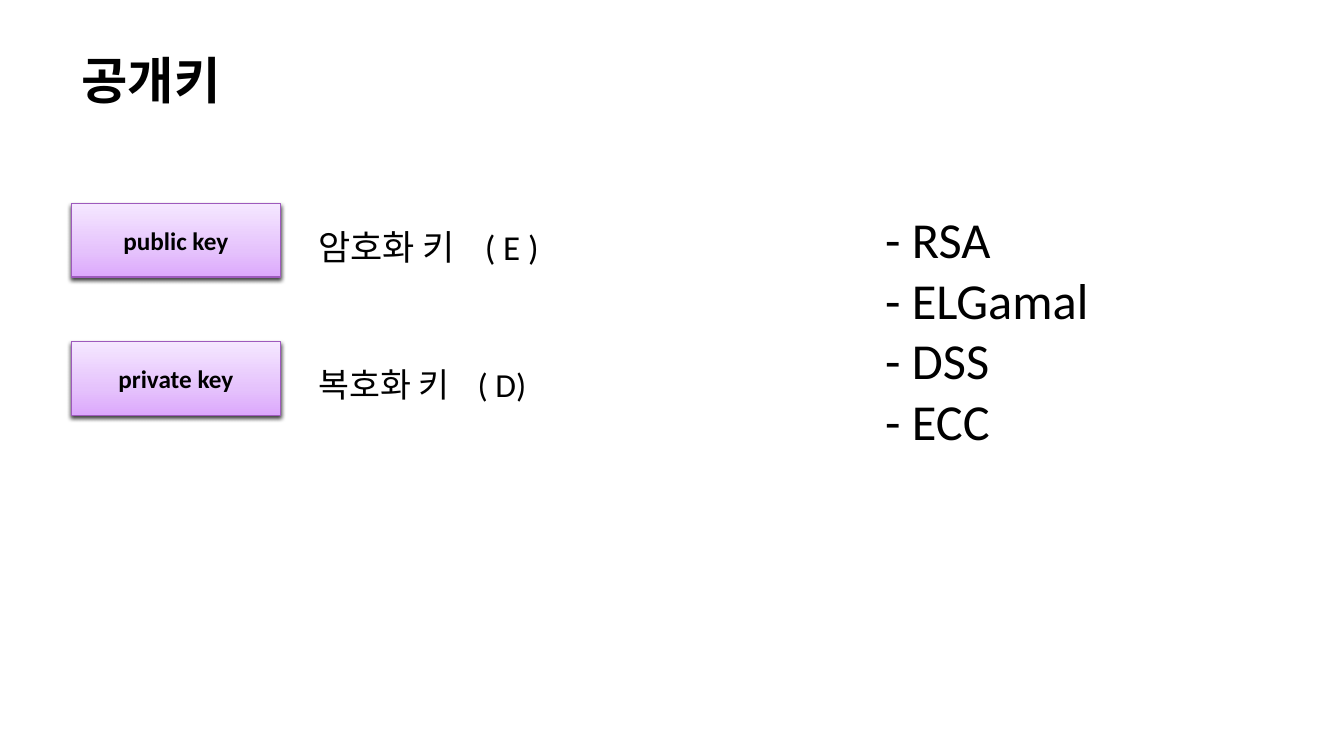
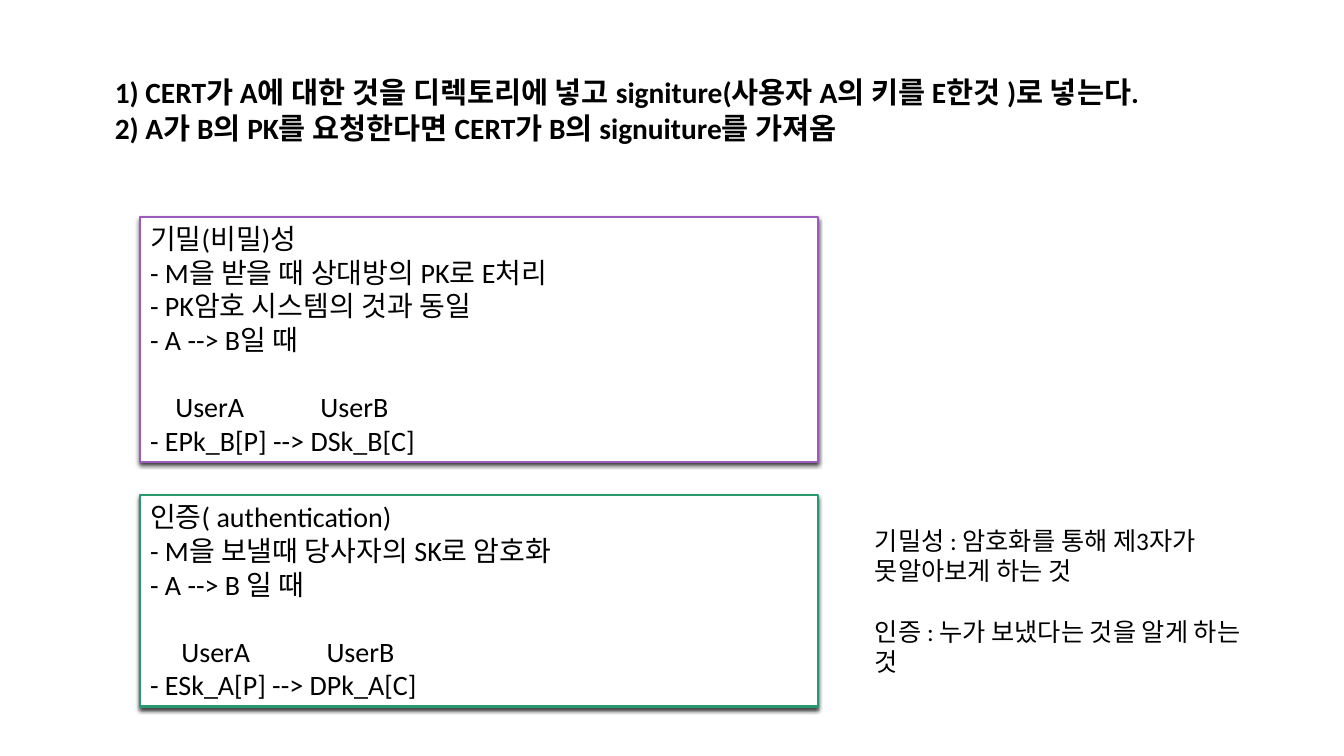
"""Build two slides on public keys, secrecy and authentication."""
import dataclasses

import copy
import lxml.etree
import pptx
import pptx.dml.color
import pptx.enum.shapes
import pptx.enum.text
import pptx.oxml.ns
import pptx.util

Inches = pptx.util.Inches
Pt = pptx.util.Pt
qn = pptx.oxml.ns.qn
Align = pptx.enum.text.PP_ALIGN
Anchor = pptx.enum.text.MSO_ANCHOR
Fit = pptx.enum.text.MSO_AUTO_SIZE


@dataclasses.dataclass(frozen=True)
class Theme:
    """Colours, font and type sizes of the deck."""
    font: str = "Calibri"
    ink: str = "000000"
    paper: str = "FFFFFF"
    plum: str = "9E5ABD"
    green: str = "289B6E"
    blend: tuple = ((0, "DCA8FC"), (0.35, "E5C2FC"), (1, "F5E7FF"))
    title: int = 36
    large: int = 25
    term: int = 24
    head: int = 21
    body: int = 20
    small: int = 18


@dataclasses.dataclass(frozen=True)
class Line:
    """A paragraph with space above it, in points, and tab stops, in inches."""
    text: str
    gap: float = 0
    stops: tuple = ()


THEME = Theme()


def tint(code):
    """Turn a hex code into a colour."""
    return pptx.dml.color.RGBColor.from_string(code)


def write(frame, lines, size, bold=False, align=Align.LEFT, anchor=Anchor.TOP, grow=True):
    """Fill a text frame with formatted paragraphs."""
    frame.word_wrap = True
    frame.auto_size = Fit.SHAPE_TO_FIT_TEXT if grow else Fit.NONE
    frame.vertical_anchor = anchor
    for rank, item in enumerate(lines):
        line = item if isinstance(item, Line) else Line(item)
        para = frame.add_paragraph() if rank else frame.paragraphs[0]
        para.alignment = align
        if line.gap:
            para.space_before = Pt(line.gap)
        if line.stops:
            tabs = lxml.etree.SubElement(para._p.get_or_add_pPr(), qn("a:tabLst"))
            for stop in line.stops:
                lxml.etree.SubElement(tabs, qn("a:tab"), pos=str(Inches(stop)), algn="l")
        run = para.add_run()
        run.text = line.text
        run.font.name = THEME.font
        run.font.size = Pt(size)
        run.font.bold = bold
        run.font.color.rgb = tint(THEME.ink)


def label(slide, spot, lines, size, **form):
    """Add a text box."""
    box = slide.shapes.add_textbox(*map(Inches, spot))
    write(box.text_frame, lines, size, **form)


def shade(shape):
    """Give a shape a soft shadow below it."""
    shape.shadow.inherit = False
    effects = shape._element.spPr.find(qn("a:effectLst"))
    cast = lxml.etree.SubElement(
        effects, qn("a:outerShdw"), blurRad=str(Pt(3)), dist=str(Pt(2)),
        dir="5400000", rotWithShape="0")
    tone = lxml.etree.SubElement(cast, qn("a:srgbClr"), val=THEME.ink)
    lxml.etree.SubElement(tone, qn("a:alpha"), val="75000")


def blend(shape, stops):
    """Fill a shape with a gradient that runs from bottom to top."""
    shape.fill.gradient()
    shape.fill.gradient_angle = 90
    group = shape._element.spPr.find(".//" + qn("a:gsLst"))
    while len(group) < len(stops):
        group.append(copy.deepcopy(group[0]))
    for stop, (place, code) in zip(shape.fill.gradient_stops, stops):
        stop.position = place
        stop.color.rgb = tint(code)


def panel(slide, spot, lines, size, edge, width, stops=None, **form):
    """Add a shadowed box with text, plain or with a gradient."""
    shape = slide.shapes.add_shape(
        pptx.enum.shapes.MSO_SHAPE.RECTANGLE, *map(Inches, spot))
    if stops:
        blend(shape, stops)
    else:
        shape.fill.solid()
        shape.fill.fore_color.rgb = tint(THEME.paper)
    shape.line.color.rgb = tint(edge)
    shape.line.width = Pt(width)
    shade(shape)
    write(shape.text_frame, lines, size, **form)


def keys(slide):
    """Draw the slide on public and private keys."""
    left = 0.71
    label(slide, (left, 0.44, 7.22, 0.7), ["공개키"], THEME.title, bold=True)
    rows = (
        ("public key", "암호화 키\t( E )", 1.65, THEME.large),
        ("private key", "복호화 키\t( D)", 1.58, THEME.term),
    )
    for rank, (name, role, stop, size) in enumerate(rows):
        top = 2.02 + 1.37 * rank
        panel(slide, (left, top, 2.07, 0.73), [name], THEME.small, THEME.plum, 1,
              stops=THEME.blend, bold=True, align=Align.CENTER,
              anchor=Anchor.MIDDLE, grow=False)
        label(slide, (3.06, top + 0.17, 3, 0.5), [Line(role, stops=(stop,))], size)
    label(slide, (8.68, 2.02, 2.86, 2.49),
          ["- RSA", "- ELGamal", "- DSS", "- ECC"], THEME.title)


def proof(slide):
    """Draw the slide on secrecy and authentication."""
    label(slide, (1.04, 0.69, 11.63, 0.79), [
        "1) CERT가 A에 대한 것을 디렉토리에 넣고 signiture(사용자 A의 키를 E한것 )로 넣는다.",
        "2) A가 B의 PK를 요청한다면 CERT가 B의 signuiture를 가져옴",
    ], THEME.head, bold=True)
    users = "\tUserA\tUserB"
    boxes = (
        (2.15, 2.43, THEME.plum, [
            "기밀(비밀)성",
            "- M을 받을 때 상대방의 PK로 E처리",
            "- PK암호 시스템의 것과 동일",
            "- A --> B일 때",
            Line(users, 24, (0.25, 1.69)),
            "- EPk_B[P] --> DSk_B[C]",
        ]),
        (4.91, 2.1, THEME.green, [
            "인증( authentication)",
            "- M을 보낼때 당사자의 SK로 암호화",
            "- A --> B 일 때",
            Line(users, 24, (0.31, 1.75)),
            "- ESk_A[P] --> DPk_A[C]",
        ]),
    )
    for top, height, edge, lines in boxes:
        panel(slide, (1.39, top, 6.72, height), lines, THEME.body, edge, 1.5)
    label(slide, (8.58, 5.16, 4.1, 1.6), [
        "기밀성 : 암호화를 통해 제3자가 못알아보게 하는 것",
        Line("인증 : 누가 보냈다는 것을 알게 하는 것", 22),
    ], THEME.small)


def main():
    """Build and save the deck."""
    deck = pptx.Presentation()
    deck.slide_width = Inches(13.33)
    deck.slide_height = Inches(7.5)
    for draw in (keys, proof):
        draw(deck.slides.add_slide(deck.slide_layouts[6]))
    deck.save("out.pptx")


if __name__ == "__main__":
    main()
